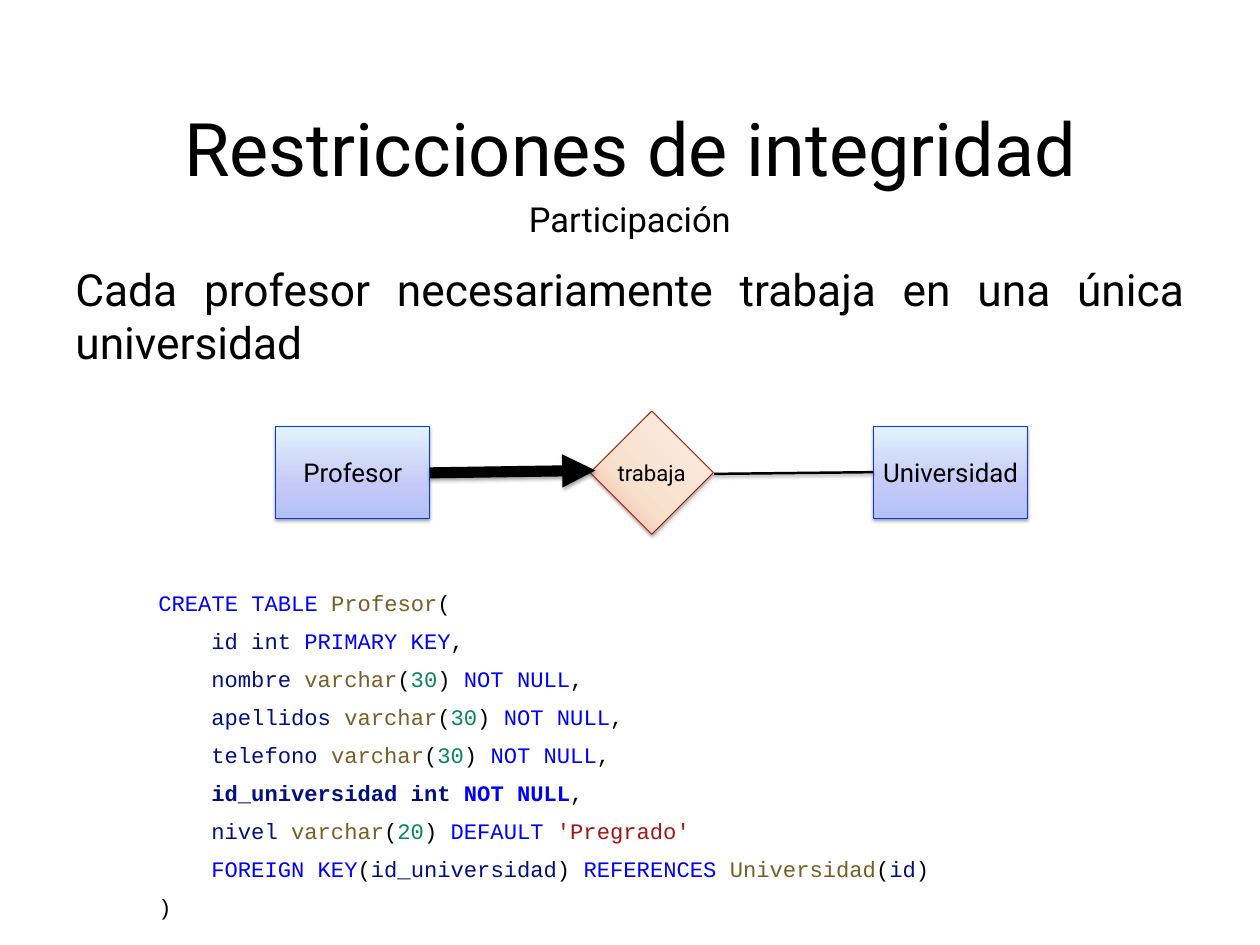
from pptx import Presentation
from pptx.dml.color import RGBColor
from pptx.enum.shapes import MSO_CONNECTOR, MSO_SHAPE
from pptx.enum.text import MSO_ANCHOR as ANCHOR, MSO_AUTO_SIZE as AUTO_SIZE, PP_ALIGN as ALIGN
from pptx.oxml import parse_xml
from pptx.util import Cm, Pt

NAMESPACE = 'xmlns:a="http://schemas.openxmlformats.org/drawingml/2006/main"'
SHADOW = (f'<a:effectLst {NAMESPACE}><a:outerShdw blurRad="{Pt(3)}" dist="{Pt(1.6)}" dir="5400000" '
          'rotWithShape="0"><a:srgbClr val="000000"><a:alpha val="37000"/></a:srgbClr>'
          '</a:outerShdw></a:effectLst>')

KEYWORD, COLUMN, NAME = "0000FF", "001080", "795E26"
NUMBER, STRING, PLAIN = "098658", "A31515", "000000"


def color(hex_value):
    return RGBColor.from_string(hex_value)


def write(paragraph, text, size, font="Roboto", hex_value=PLAIN, bold=False):
    run = paragraph.add_run()
    run.text = text
    for name, value in {"name": font, "size": Pt(size), "bold": bold}.items():
        setattr(run.font, name, value)
    run.font.color.rgb = color(hex_value)


presentation = Presentation()
presentation.slide_width, presentation.slide_height = Cm(36.12), Cm(27.1)
slide = presentation.slides.add_slide(presentation.slide_layouts[1])
title, statement = slide.placeholders
subtitle = slide.shapes.add_textbox(0, 0, 0, 0)

# Headings and statement
for shape, text, size, alignment, place in [
    (title, "Restricciones de integridad", 60, ALIGN.CENTER, (4.85, 2.84, 26.44, 2.77)),
    (subtitle, "Participación", 28, ALIGN.CENTER, (10.46, 5.54, 15.19, 1.45)),
    (statement, "Cada profesor necesariamente trabaja en una única universidad", 36,
     ALIGN.JUSTIFY, (2.01, 7.39, 32.11, 3.28)),
]:
    shape.left, shape.top, shape.width, shape.height = map(Cm, place)
    frame = shape.text_frame
    frame.margin_left = frame.margin_right = frame.margin_top = frame.margin_bottom = Cm(0.15)
    for name, value in {"word_wrap": True, "auto_size": AUTO_SIZE.NONE,
                        "vertical_anchor": ANCHOR.MIDDLE}.items():
        setattr(frame, name, value)
    paragraph = frame.paragraphs[0]
    paragraph.alignment = alignment
    paragraph.space_before = Pt(0)
    write(paragraph, text, size)

properties = statement.text_frame.paragraphs[0]._p.get_or_add_pPr()
properties.set("marL", "0")
properties.set("indent", "0")
properties.append(parse_xml(f"<a:buNone {NAMESPACE}/>"))

# Entities and relationship
BLUE = (270, [(0, "B2C2F5"), (36, "C4C9F7"), (100, "E1F2FC")])
PEACH = (315, [(0, "F5A09A"), (35, "F7E0CB"), (100, "FFEBE7")])
for text, size, kind, place, (angle, stops), outline in [
    ("Profesor", 21, MSO_SHAPE.RECTANGLE, (7.9, 12.24, 4.42, 2.62), BLUE, "0433FF"),
    ("trabaja", 18, MSO_SHAPE.DIAMOND, (16.92, 11.79, 3.53, 3.53), PEACH, "A01D04"),
    ("Universidad", 21, MSO_SHAPE.RECTANGLE, (25.04, 12.24, 4.42, 2.62), BLUE, "0433FF"),
]:
    shape = slide.shapes.add_shape(kind, *map(Cm, place))
    shape.line.color.rgb = color(outline)
    shape.line.width = Pt(0.75)
    stop_list = "".join(f'<a:gs pos="{position * 1000}"><a:srgbClr val="{value}"/></a:gs>'
                        for position, value in stops)
    gradient = parse_xml(f'<a:gradFill {NAMESPACE} rotWithShape="1"><a:gsLst>{stop_list}</a:gsLst>'
                         f'<a:lin ang="{angle * 60000}" scaled="0"/></a:gradFill>')
    shape._element.spPr.find("{*}prstGeom").addnext(gradient)
    shape._element.spPr.append(parse_xml(SHADOW))
    frame = shape.text_frame
    frame.margin_left = frame.margin_right = frame.margin_top = frame.margin_bottom = 0
    frame.word_wrap = False
    frame.vertical_anchor = ANCHOR.MIDDLE
    frame.paragraphs[0].alignment = ALIGN.CENTER
    write(frame.paragraphs[0], text, size)

for ends, width, arrow in [
    ((20.47, 13.59, 25.04, 13.54), 2, False),
    ((12.32, 13.56, 17.07, 13.49), 9, True),
]:
    connector = slide.shapes.add_connector(MSO_CONNECTOR.STRAIGHT, *map(Cm, ends))
    connector.line.color.rgb = color(PLAIN)
    connector.line.width = Pt(width)
    if arrow:
        connector.line._get_or_add_ln().append(
            parse_xml(f'<a:tailEnd {NAMESPACE} type="triangle" w="med" len="med"/>'))
    connector._element.spPr.append(parse_xml(SHADOW))

# SQL listing: indented columns between the opening and closing lines
OPEN, CLOSE, COMMA = ("(", PLAIN), (") ", PLAIN), (",", PLAIN)
VARCHAR, NOT_NULL = ("varchar", NAME), ("NOT NULL", KEYWORD)
code_lines = [
    [("CREATE TABLE ", KEYWORD), ("Profesor", NAME), OPEN],
    [("id int ", COLUMN), ("PRIMARY KEY", KEYWORD), COMMA],
    *[[(f"{column} ", COLUMN), VARCHAR, OPEN, ("30", NUMBER), CLOSE, NOT_NULL, COMMA]
      for column in ("nombre", "apellidos", "telefono")],
    [("id_universidad int ", COLUMN), NOT_NULL, COMMA],
    [("nivel ", COLUMN), VARCHAR, OPEN, ("20", NUMBER), CLOSE,
     ("DEFAULT ", KEYWORD), ("'Pregrado'", STRING)],
    [("FOREIGN KEY", KEYWORD), OPEN, ("id_universidad", COLUMN), CLOSE,
     ("REFERENCES ", KEYWORD), ("Universidad", NAME), OPEN, ("id", COLUMN), (")", PLAIN)],
    [(")", PLAIN)],
]
code_frame = slide.shapes.add_textbox(Cm(4.29), Cm(16.33), Cm(27.56), Cm(9.7)).text_frame
code_frame.word_wrap = True
code_frame.margin_left = code_frame.margin_right = Cm(0.25)
code_frame.margin_top = code_frame.margin_bottom = Cm(0.25)
for index, tokens in enumerate(code_lines):
    paragraph = code_frame.add_paragraph() if index else code_frame.paragraphs[0]
    paragraph.line_spacing = 1.43
    if 0 < index < len(code_lines) - 1:
        paragraph._p.get_or_add_pPr().set("marL", str(Cm(1.52)))
    emphasized = tokens[0][0].startswith("id_universidad")
    for token in tokens:
        write(paragraph, token[0], 18, "Courier New", token[1], emphasized and token != COMMA)

presentation.save("out.pptx")
